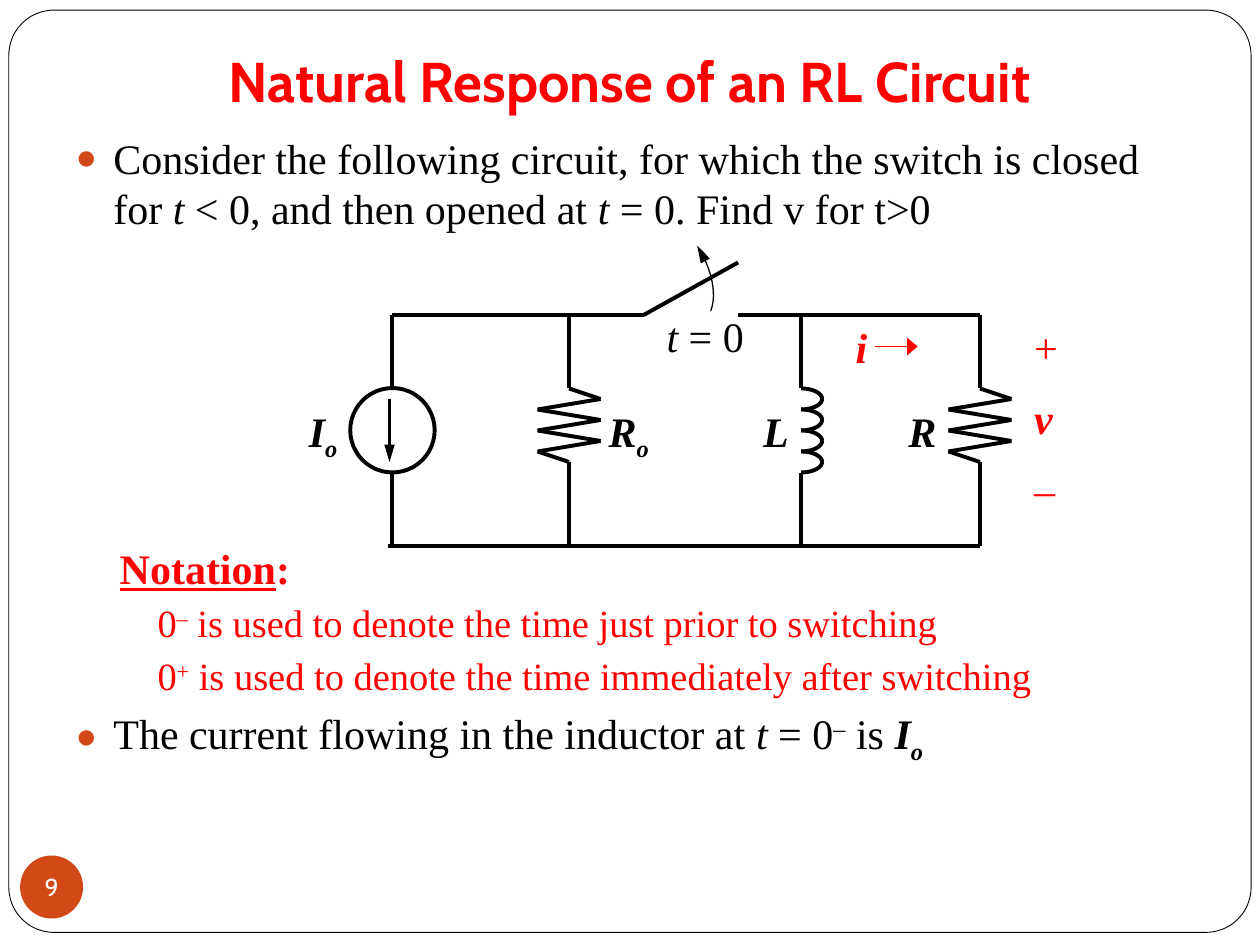
import math
from dataclasses import dataclass
from itertools import pairwise

from lxml import etree
from pptx import Presentation
from pptx.dml.color import RGBColor
from pptx.enum.shapes import MSO_CONNECTOR, MSO_SHAPE
from pptx.enum.text import MSO_ANCHOR, MSO_AUTO_SIZE, PP_ALIGN
from pptx.oxml.ns import qn
from pptx.util import Inches, Pt

STRAIGHT = MSO_CONNECTOR.STRAIGHT
OVAL, ROUNDED = MSO_SHAPE.OVAL, MSO_SHAPE.ROUNDED_RECTANGLE
LEFT, CENTER = PP_ALIGN.LEFT, PP_ALIGN.CENTER
BOTTOM, MIDDLE = MSO_ANCHOR.BOTTOM, MSO_ANCHOR.MIDDLE
NO_FIT = MSO_AUTO_SIZE.NONE


@dataclass(frozen=True)
class Theme:
    heading_font: str = "Cabin"
    text_font: str = "Times New Roman"
    black: str = "000000"
    white: str = "FFFFFF"
    red: str = "FF0000"
    accent: str = "D34817"
    title_size: int = 32
    text_size: int = 24
    note_size: int = 22
    number_size: int = 14
    line_height: float = 28.8
    wire: float = 2.25
    thin: float = 0.75


THEME = Theme()

# Circuit grid: twelve cells to the inch
TOP_ROW, PART_ROW, PART_END, BOTTOM_ROW = 30, 37, 45, 52
SOURCE_COL, SHUNT_COL, COIL_COL, LOAD_COL = 37.3, 54.2, 76.3, 93.33
SWITCH_COL, SWITCH_END = 61.3, 70.3


def cell(count):
    return Inches(count / 12)


def add_xml(parent, tag, **attributes):
    return etree.SubElement(parent, qn(tag), **attributes)


def place(shape, left, top, width, height):
    shape.left, shape.top = Inches(left), Inches(top)
    shape.width, shape.height = Inches(width), Inches(height)


# Text
def add_span(para, text, size=THEME.text_size, color=THEME.black, font=THEME.text_font,
             bold=False, italic=False, underline=False, baseline=0):
    span = para.add_run()
    span.text = text
    face = span.font
    face.name, face.size = font, Pt(size)
    face.bold, face.italic, face.underline = bold, italic, underline
    face.color.rgb = RGBColor.from_string(color)
    if baseline:
        span._r.get_or_add_rPr().set("baseline", str(baseline * 1000))


def add_item(frame, spans, level=0, before=0, **style):
    """Fill one paragraph of the list; only the top level carries a bullet."""
    para = frame.paragraphs[0] if not frame.paragraphs[0].runs else frame.add_paragraph()
    para.level = level
    para.line_spacing, para.space_before, para.space_after = Pt(THEME.line_height), Pt(before), Pt(0)
    properties = para._p.get_or_add_pPr()
    properties.set("marL", str(Inches(0.3 * (level + 1))))
    properties.set("indent", str(Inches(-0.25 if level else -0.3)))
    if level:
        add_xml(properties, "a:buNone")
    else:
        add_xml(add_xml(properties, "a:buClr"), "a:srgbClr", val=THEME.accent)
        add_xml(properties, "a:buSzPct", val="85000")
        add_xml(properties, "a:buChar", char="●")
    for text, changes in spans:
        add_span(para, text, **{**style, **changes})


def add_label(page, col, row, width, lines, align=CENTER, gap=0, **style):
    """Unwrapped text box; each line is a list of (text, changes) spans."""
    box = page.shapes.add_textbox(cell(col), cell(row), Inches(width), Inches(0.5))
    box.text_frame.word_wrap = False
    for number, spans in enumerate(lines):
        para = box.text_frame.add_paragraph() if number else box.text_frame.paragraphs[0]
        para.alignment = align
        para.space_before = Pt(gap if number else 0)
        for text, changes in spans:
            add_span(para, text, **{**style, **changes})


# Lines and outlines
def style_line(shape, color=THEME.black, width=THEME.wire, arrow=None):
    shape.line.color.rgb = RGBColor.from_string(color)
    shape.line.width = Pt(width)
    outline = shape.line._get_or_add_ln()
    add_xml(outline, "a:round")
    if arrow:
        add_xml(outline, "a:tailEnd", type="triangle", w=arrow[0], len=arrow[1])


def add_wire(page, start, end, **style):
    wire = page.shapes.add_connector(STRAIGHT, *map(cell, start + end))
    style_line(wire, **style)
    add_xml(wire._element.spPr, "a:effectLst")


def add_path(page, points, **style):
    corners = [(cell(col), cell(row)) for col, row in points]
    builder = page.shapes.build_freeform(*corners[0])
    builder.add_line_segments(corners[1:], close=False)
    path = builder.convert_to_shape()
    path.shadow.inherit = False
    path.fill.background()
    style_line(path, **style)


def add_preset(page, kind, left, top, width, height, fill=None):
    shape = page.shapes.add_shape(kind, *map(Inches, (left, top, width, height)))
    shape.shadow.inherit = False
    if fill:
        shape.fill.solid()
        shape.fill.fore_color.rgb = RGBColor.from_string(fill)
    else:
        shape.fill.background()
    return shape


# Circuit parts
def add_leads(page, col, part_end=PART_END):
    add_wire(page, (col, TOP_ROW), (col, PART_ROW))
    add_wire(page, (col, part_end), (col, BOTTOM_ROW))


def add_resistor(page, col):
    teeth = [(col + (3 if step % 2 else -3), PART_ROW + step) for step in range(1, 7)]
    for start, end in pairwise([(col, PART_ROW), *teeth, (col, PART_END - 1)]):
        add_wire(page, start, end)
    add_leads(page, col, PART_END - 1)


def add_inductor(page, col, turns=4, steps=10):
    """Each turn is an upper and a lower quarter arc."""
    for quarter in range(2 * turns):
        angles = [math.pi / 2 * (quarter % 2 + step / steps) for step in range(steps + 1)]
        middle = PART_ROW + quarter // 2 * 2 + 1
        add_path(page, [(col + 2 * math.sin(angle), middle - math.cos(angle)) for angle in angles])
    add_leads(page, col)


def add_current_source(page, col):
    style_line(add_preset(page, OVAL, 2.78, 3.08, 0.67, 0.67))
    add_wire(page, (col - 0.2, 38), (col - 0.2, 44), width=1.5, arrow=("med", "lg"))
    add_leads(page, col)


def add_switch(page):
    add_wire(page, (SWITCH_COL, TOP_ROW), (SWITCH_END, 25))
    # Opening swing, sampled along a cubic curve
    controls = [(67.7, 29.6), (68.3, 28), (67.8, 25.6), (66.4, 23.4)]
    swing = []
    for step in range(13):
        t = step / 12
        weights = [math.comb(3, k) * t ** k * (1 - t) ** (3 - k) for k in range(4)]
        swing.append(tuple(sum(w * point[axis] for w, point in zip(weights, controls))
                           for axis in (0, 1)))
    add_path(page, swing, width=THEME.thin, arrow=("med", "lg"))


def add_circuit(page):
    add_inductor(page, COIL_COL)
    add_current_source(page, SOURCE_COL)
    for col in (SHUNT_COL, LOAD_COL):
        add_resistor(page, col)
    for start, end, row in ((SOURCE_COL, SWITCH_COL, TOP_ROW), (SWITCH_END, LOAD_COL, TOP_ROW),
                            (SOURCE_COL - 0.3, LOAD_COL, BOTTOM_ROW)):
        add_wire(page, (start, row), (end, row))
    add_switch(page)

    # Part names, then the switch time, current and voltage
    strong = {"bold": True, "italic": True}
    for name, index, col, width in (("I", "o", 28.2, 0.43), ("R", "o", 56.4, 0.58),
                                    ("L", "", 71.5, 0.4), ("R", "", 85.2, 0.44)):
        spans = [(name, {})] + ([(index, {"baseline": -25})] if index else [])
        add_label(page, col, 38, width, [spans], **strong)
    add_label(page, 62.3, 29, 0.86, [[("t ", {"italic": True}), ("= 0", {})]], align=LEFT)
    add_label(page, 80.3, 30, 0.29, [[("i", strong)]], color=THEME.red)
    add_wire(page, (83.3, 33), (87.4, 33), color=THEME.red, width=THEME.thin, arrow=("lg", "med"))
    add_label(page, 97.3, 30, 0.39, [[("+", {})], [("v", strong)], [("–", {})]],
              align=LEFT, gap=12, color=THEME.red)


# Page parts
def add_frame(page):
    frame = add_preset(page, ROUNDED, 0.07, 0.08, 9.86, 7.32, THEME.white)
    frame.adjustments[0] = 0.049
    style_line(frame, width=0.5)
    page.shapes._spTree.insert(2, frame._element)  # behind the placeholders


def fill_title(title):
    place(title, 0.5, -0.25, 9, 1.25)
    frame = title.text_frame
    frame.auto_size, frame.vertical_anchor = NO_FIT, BOTTOM
    frame.margin_bottom = Inches(0.1)
    frame.paragraphs[0].alignment = CENTER
    add_span(frame.paragraphs[0], "Natural Response of an RL Circuit", THEME.title_size,
             THEME.red, THEME.heading_font, bold=True)


def fill_body(body):
    place(body, 0.5, 1, 9, 5.17)
    frame = body.text_frame
    frame.auto_size = NO_FIT
    time = ("t", {"italic": True})
    add_item(frame, [("Consider the following circuit, for which the switch is closed for ", {}), time,
                     (" < 0, and then opened at ", {}), time, (" = 0. Find v for t>0", {})])
    # The space before the notation leaves room for the circuit
    add_item(frame, [("Notation", {"underline": True}), (":", {})], level=1, before=177,
             color=THEME.red, bold=True)
    for sign, moment, before in (("–", "just prior to", 1), ("+", "immediately after", 1.5)):
        add_item(frame, [("0", {}), (sign, {"baseline": 30}),
                         (f" is used to denote the time {moment} switching", {})],
                 level=2, before=before, color=THEME.red, size=THEME.note_size)
    strong = {"bold": True, "italic": True}
    add_item(frame, [("The current flowing in the inductor at ", {}), time, (" = 0", {}),
                     ("–", {"baseline": 30}), (" is ", {}), ("I", strong),
                     ("o", {**strong, "baseline": -25})], before=9.4)


def add_page_number(page):
    badge = add_preset(page, OVAL, 0.16, 6.79, 0.5, 0.5, THEME.accent)
    badge.line.fill.background()
    frame = badge.text_frame
    frame.word_wrap, frame.vertical_anchor = False, MIDDLE
    frame.margin_left = frame.margin_right = frame.margin_top = frame.margin_bottom = 0
    frame.paragraphs[0].alignment = CENTER
    add_span(frame.paragraphs[0], "9", THEME.number_size, THEME.white, THEME.heading_font)


def main():
    deck = Presentation()
    deck.slide_width, deck.slide_height = Inches(10), Inches(7.5)
    page = deck.slides.add_slide(deck.slide_layouts[1])
    add_frame(page)
    fill_title(page.shapes.title)
    fill_body(page.placeholders[1])
    add_circuit(page)
    add_page_number(page)
    deck.save("out.pptx")


if __name__ == "__main__":
    main()
